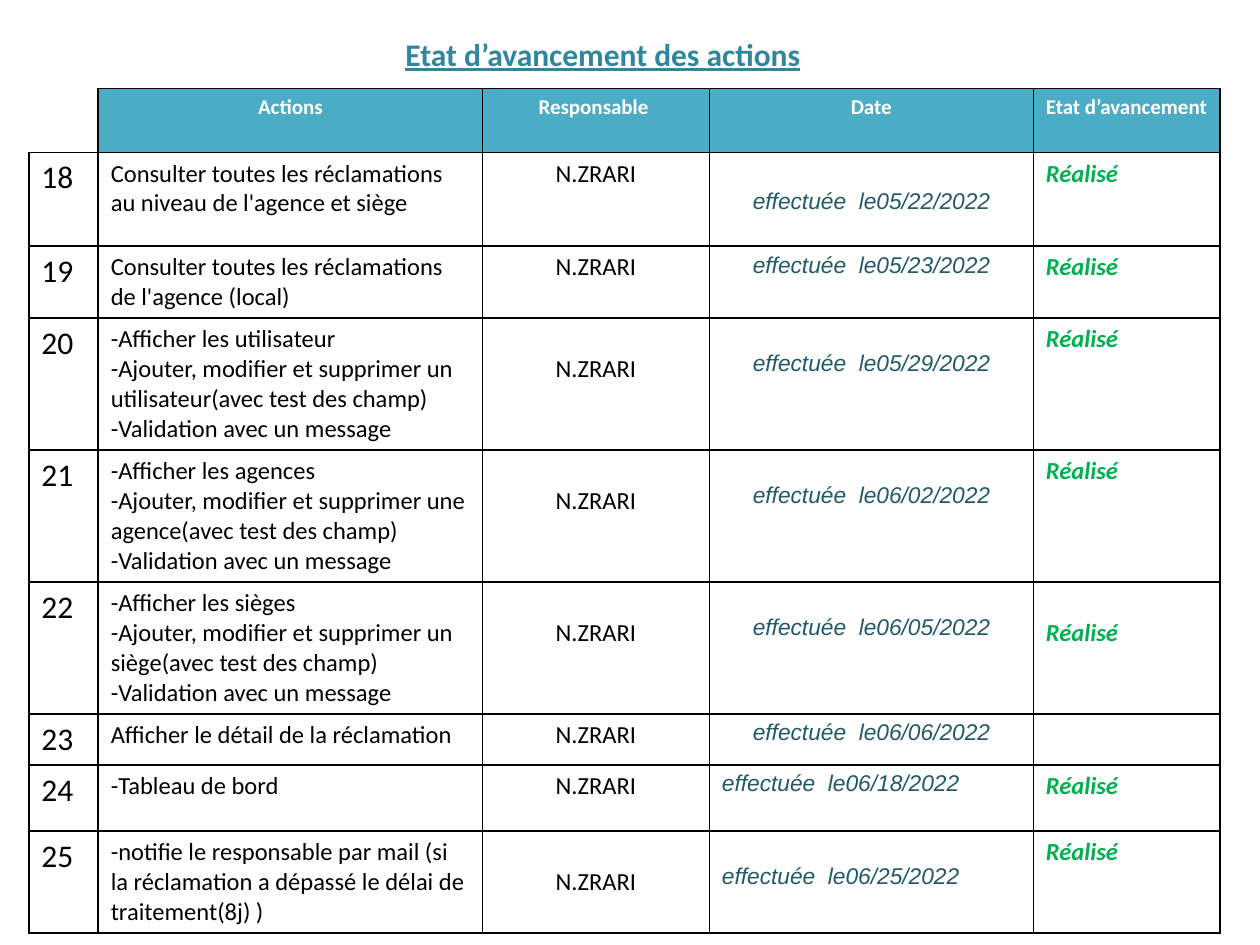
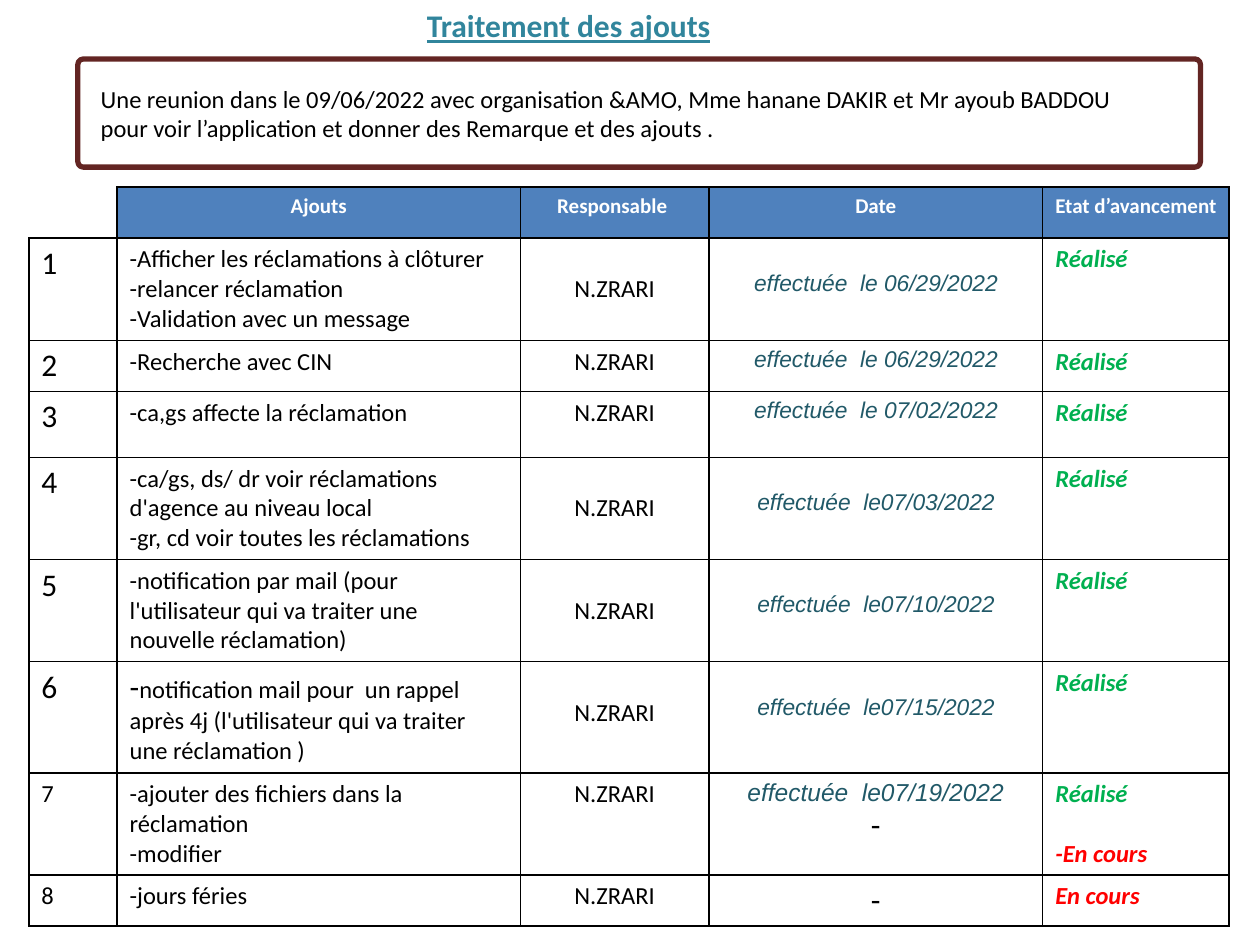
from dataclasses import dataclass, field

from lxml import etree
from pptx import Presentation
from pptx.dml.color import RGBColor
from pptx.enum.shapes import MSO_SHAPE
from pptx.enum.text import MSO_ANCHOR, MSO_AUTO_SIZE, PP_ALIGN
from pptx.oxml.ns import qn
from pptx.util import Cm, Pt

LEFT, CENTER = PP_ALIGN.LEFT, PP_ALIGN.CENTER
TOP = MSO_ANCHOR.TOP
GROW = MSO_AUTO_SIZE.SHAPE_TO_FIT_TEXT
ROUNDED = MSO_SHAPE.ROUNDED_RECTANGLE
TITLE_ONLY = 5


# Theme: colours, type sizes and text styles
@dataclass(frozen=True)
class Style:
    size: int
    color: str = "000000"
    font: str = "Calibri"
    bold: bool = False
    italic: bool = False
    underline: bool = False


class Theme:
    border = "000000"
    frame = "632523"
    border_width = Pt(1)
    frame_width = Pt(3)
    cell_margin = Cm(0.13)
    styles = {
        "title": Style(18, "31859C", bold=True, underline=True),
        "header": Style(12, "FFFFFF", bold=True),
        "large": Style(18),
        "body": Style(14),
        "date": Style(13, "215968", "Arial", italic=True),
        "date_large": Style(14, "215968", "Arial", italic=True),
        "done": Style(14, "00B050", bold=True, italic=True),
        "pending": Style(14, "FF0000", bold=True, italic=True),
    }


# Content: a cell is a list of paragraphs, a paragraph a list of (text, style)
OWNER, DATE, STATE = 2, 3, 4
LINE, DATE_LINE = 17, 15
LOWERED = {OWNER: LINE, DATE: DATE_LINE}


def lines(style, *texts):
    return [[(text, style)] for text in texts]


def date(text):
    return lines("date", text)


DONE = lines("done", "Réalisé")


@dataclass
class Row:
    number: str
    height: float
    actions: list
    date: list
    state: list = field(default_factory=lambda: DONE)
    lowered: dict = field(default_factory=dict)  # column: points from the top
    number_style: str = "large"
    date_align: int = CENTER
    state_gap: int = 0


def management(first, what, day, **options):
    actions = lines("body", first,
                    f"-Ajouter, modifier et supprimer {what}(avec test des champ)",
                    "-Validation avec un message")
    return actions, date(f"effectuée  le{day}")


PROGRESS = {
    "title": "Etat d’avancement des actions",
    "title_box": (7.92, 0.58, 8.53, 1.02),
    "title_align": LEFT,
    "headers": ["Actions", "Responsable ", "Date", "Etat d’avancement"],
    "header_fill": "4BACC6",
    "header_height": 1.29,
    "corner_fill": None,
    "origin": (0.58, 1.78),
    "columns": [1.4, 7.75, 4.57, 6.53, 3.76],
    "rows": [
        Row("18", 1.89, lines("body", "Consulter toutes les réclamations au niveau de l'agence et siège"),
            date("effectuée  le05/22/2022"), lowered={DATE: LINE}),
        Row("19", 1.45, lines("body", "Consulter toutes les réclamations de l'agence (local)"),
            date("effectuée  le05/23/2022")),
        Row("20", 2.66, *management("-Afficher les utilisateur", "un utilisateur", "05/29/2022"),
            lowered=LOWERED),
        Row("21", 2.66, *management("-Afficher les agences", "une agence", "06/02/2022"),
            lowered=LOWERED),
        Row("22", 2.66, *management("-Afficher les sièges", "un siège", "06/05/2022"),
            lowered={**LOWERED, STATE: LINE}),
        Row("23", 1.03, lines("body", "Afficher le détail de la réclamation"),
            date("effectuée  le06/06/2022"), state=[]),
        Row("24", 1.33, lines("body", "-Tableau de bord"),
            date("effectuée  le06/18/2022"), date_align=LEFT),
        Row("25", 2.06, lines("body", "-notifie le responsable par mail (si la réclamation "
                              "a dépassé le délai de traitement(8j) )"),
            date("effectuée  le06/25/2022"), lowered=LOWERED, date_align=LEFT),
    ],
}

ADDITIONS = {
    "title": "Traitement des ajouts",
    "title_box": (8.33, 0, 6.27, 1.8),
    "title_align": CENTER,
    "headers": ["Ajouts", "Responsable ", "Date", "Etat d’avancement"],
    "header_fill": "4F81BD",
    "header_height": 1.03,
    "corner_fill": "FFFFFF",
    "origin": (0.58, 3.77),
    "columns": [1.78, 8.13, 3.8, 6.73, 3.76],
    "rows": [
        Row("1", 2.06, lines("body", "-Afficher les réclamations à clôturer",
                             "-relancer réclamation", "-Validation avec un message"),
            date("effectuée  le 06/29/2022"), lowered=LOWERED),
        Row("2", 1.03, lines("body", "-Recherche avec CIN"), date("effectuée  le 06/29/2022")),
        Row("3", 1.33, lines("body", "-ca,gs affecte la réclamation"),
            date("effectuée  le 07/02/2022")),
        Row("4", 2.06, lines("body", "-ca/gs, ds/ dr voir réclamations d'agence au niveau local",
                             "-gr, cd voir toutes les réclamations"),
            date("effectuée  le07/03/2022"), lowered=LOWERED),
        Row("5", 2.06, lines("body", "-notification par mail (pour l'utilisateur qui va traiter "
                             "une nouvelle réclamation)"),
            date("effectuée  le07/10/2022"), lowered=LOWERED),
        Row("6", 2.24, [[("-", "large"),
                         ("notification mail pour  un rappel après 4j (l'utilisateur qui va "
                          "traiter une réclamation )", "body")]],
            date("effectuée  le07/15/2022"), lowered=LOWERED),
        Row("7", 2.06, lines("body", "-ajouter des fichiers dans la réclamation", "-modifier"),
            lines("date_large", "effectuée  le07/19/2022") + lines("large", "-"),
            DONE + lines("pending", "-En cours"), number_style="body", state_gap=LINE),
        Row("8", 1.03, lines("body", "-jours féries"), lines("large", "-"),
            lines("pending", "En cours"), number_style="body"),
    ],
}

RESPONSIBLE = lines("body", "N.ZRARI")
MEETING = ("Une reunion dans le 09/06/2022 avec organisation &AMO, Mme hanane DAKIR et "
           "Mr ayoub BADDOU pour voir l’application et donner des Remarque et des ajouts .")
MEETING_FRAME = (1.57, 1.19, 22.63, 2.18)
MEETING_TEXT = (1.78, 1.57, 21.64, 1.45)


# Text and cell helpers
def write(frame, paragraphs, align=LEFT, gap=0):
    for index, spans in enumerate(paragraphs):
        para = frame.add_paragraph() if index else frame.paragraphs[0]
        para.alignment = align
        if index and gap:
            para.space_before = Pt(gap)
        for text, name in spans:
            style = Theme.styles[name]
            span = para.add_run()
            span.text = text
            font = span.font
            font.name, font.size = style.font, Pt(style.size)
            font.bold, font.italic = style.bold, style.italic
            font.underline = style.underline
            font.color.rgb = RGBColor.from_string(style.color)


def set_borders(cell, visible):
    properties = cell._tc.get_or_add_tcPr()
    for side in "LRTB":
        line = etree.SubElement(properties, qn(f"a:ln{side}"), w=str(Theme.border_width))
        if side in visible:
            fill = etree.SubElement(line, qn("a:solidFill"))
            etree.SubElement(fill, qn("a:srgbClr"), val=Theme.border)
        else:
            etree.SubElement(line, qn("a:noFill"))


def format_cell(cell, paragraphs, align=LEFT, fill=None, borders="LRTB", lowered=0, gap=0):
    set_borders(cell, borders)
    if fill:
        cell.fill.solid()
        cell.fill.fore_color.rgb = RGBColor.from_string(fill)
    else:
        cell.fill.background()
    cell.margin_top = Theme.cell_margin + Pt(lowered)
    write(cell.text_frame, paragraphs, align, gap)


# Slide parts
def add_title(page, content):
    title = page.shapes.title
    title.left, title.top, title.width, title.height = map(Cm, content["title_box"])
    frame = title.text_frame
    frame.word_wrap = False
    frame.auto_size = GROW
    frame.vertical_anchor = TOP
    write(frame, lines("title", content["title"]), content["title_align"])


def add_status_table(page, content):
    rows, columns = content["rows"], content["columns"]
    heights = [content["header_height"]] + [row.height for row in rows]
    left, top = content["origin"]
    table = page.shapes.add_table(len(heights), len(columns), Cm(left), Cm(top),
                                  Cm(sum(columns)), Cm(sum(heights))).table
    table.first_row = table.horz_banding = False
    for column, width in zip(table.columns, columns):
        column.width = Cm(width)
    for table_row, height in zip(table.rows, heights):
        table_row.height = Cm(height)

    # Header row, with an open corner
    format_cell(table.cell(0, 0), [], fill=content["corner_fill"], borders="RB")
    for index, text in enumerate(content["headers"], 1):
        format_cell(table.cell(0, index), lines("header", text), CENTER, content["header_fill"])

    # One row per action
    for index, row in enumerate(rows, 1):
        cells = [lines(row.number_style, row.number), row.actions, RESPONSIBLE,
                 row.date, row.state]
        aligns = [LEFT, LEFT, CENTER, row.date_align, LEFT]
        for column, (paragraphs, align) in enumerate(zip(cells, aligns)):
            format_cell(table.cell(index, column), paragraphs, align,
                        lowered=row.lowered.get(column, 0),
                        gap=row.state_gap if column == STATE else 0)


def add_meeting_note(page):
    box = page.shapes.add_shape(ROUNDED, *map(Cm, MEETING_FRAME))
    box.adjustments[0] = 0.05
    box.shadow.inherit = False
    box.fill.background()
    box.line.color.rgb = RGBColor.from_string(Theme.frame)
    box.line.width = Theme.frame_width
    note = page.shapes.add_textbox(*map(Cm, MEETING_TEXT))
    note.text_frame.word_wrap = True
    note.text_frame.auto_size = GROW
    write(note.text_frame, lines("body", MEETING))


# Build the deck
deck = Presentation()
deck.slide_width, deck.slide_height = Cm(25.4), Cm(19.05)
for content in (PROGRESS, ADDITIONS):
    page = deck.slides.add_slide(deck.slide_layouts[TITLE_ONLY])
    add_status_table(page, content)
    add_title(page, content)
add_meeting_note(page)
deck.save("out.pptx")
